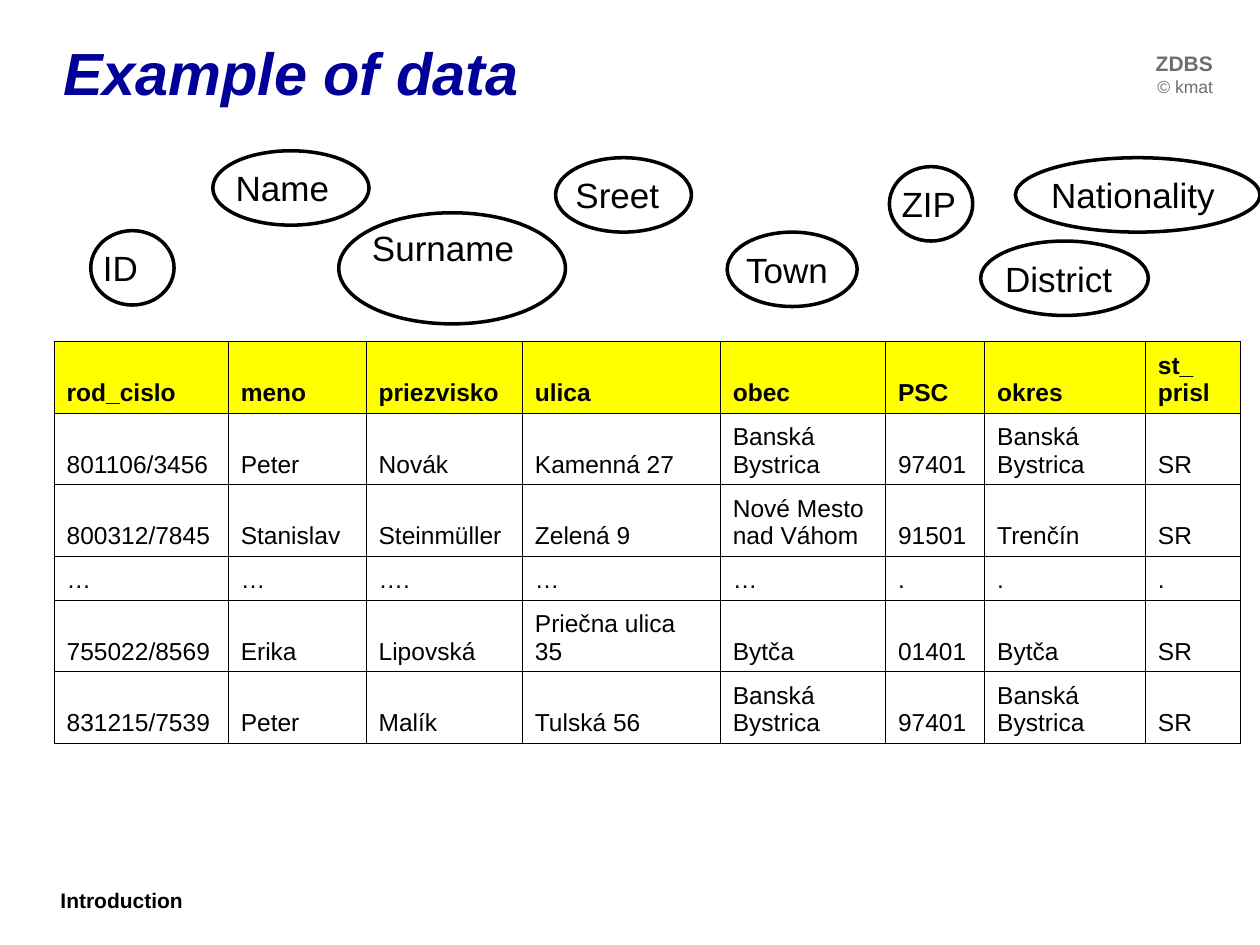
from dataclasses import dataclass

from lxml.etree import SubElement as Sub
from pptx import Presentation
from pptx.dml.color import RGBColor
from pptx.enum.shapes import MSO_SHAPE as Kind
from pptx.enum.text import MSO_ANCHOR as Anchor, MSO_AUTO_SIZE as Fit, PP_ALIGN as Align
from pptx.oxml.ns import qn
from pptx.util import Cm, Pt

BLACK, WHITE, GREY, NAVY, YELLOW = "000000", "FFFFFF", "6E6E6E", "000099", "FFFF00"


@dataclass
class Style:
    size: float
    color: str = BLACK
    bold: bool = False
    italic: bool = False


@dataclass
class Bubble:
    text: str
    left: float
    top: float
    width: float
    height: float = 1.5
    pad: float = 0  # bottom inset that lifts the label


BUBBLES = [
    Bubble("ID", 1.83, 4.65, 1.68),
    Bubble("Name", 4.29, 3.04, 3.15),
    Bubble("Surname", 6.83, 4.29, 4.57, 2.24, 0.82),
    Bubble("Sreet", 11.2, 3.18, 2.74),
    Bubble("Town", 14.66, 4.68, 2.62),
    Bubble("ZIP", 17.93, 3.36, 1.68),
    Bubble("District", 19.77, 4.86, 3.38),
    Bubble("Nationality", 20.47, 3.18, 4.93),
]

WIDTHS = [3.51, 2.78, 3.15, 3.99, 3.33, 2.0, 3.24, 1.92]
HEIGHTS = [2.28, 2.17, 1.44, 1.44, 1.44, 0.89, 1.44, 1.44]
HEAD = 2  # the rows above the header are open space for the bubbles
ROWS = [
    ["rod_cislo", "meno", "priezvisko", "ulica", "obec", "PSC", "okres", "st_\nprisl"],
    ["801106/3456", "Peter", "Novák", "Kamenná 27", "Banská Bystrica", "97401",
     "Banská Bystrica", "SR"],
    ["800312/7845", "Stanislav", "Steinmüller", "Zelená 9", "Nové Mesto nad Váhom",
     "91501", "Trenčín", "SR"],
    ["…", "…", "….", "…", "…", ".", ".", "."],
    ["755022/8569", "Erika", "Lipovská", "Priečna ulica 35", "Bytča", "01401",
     "Bytča", "SR"],
    ["831215/7539", "Peter", "Malík", "Tulská 56", "Banská Bystrica", "97401",
     "Banská Bystrica", "SR"],
]


def rgb(code: str) -> RGBColor:
    return RGBColor.from_string(code)


def add_run(para, text: str, style: Style) -> None:
    run = para.add_run()
    run.text = text
    font = run.font
    font.name, font.size = "Arial", Pt(style.size)
    font.bold, font.italic = style.bold, style.italic
    font.color.rgb = rgb(style.color)


def fill_text(frame, lines, align=Align.LEFT) -> None:
    for i, (text, style) in enumerate(lines):
        para = frame.add_paragraph() if i else frame.paragraphs[0]
        para.alignment = align
        add_run(para, text, style)


def add_note(slide, left, top, width, height, lines, align=Align.LEFT) -> None:
    frame = slide.shapes.add_textbox(Cm(left), Cm(top), Cm(width), Cm(height)).text_frame
    frame.word_wrap = True
    fill_text(frame, lines, align)


def add_bubble(slide, item: Bubble) -> None:
    shape = slide.shapes.add_shape(
        Kind.OVAL, Cm(item.left), Cm(item.top), Cm(item.width), Cm(item.height))
    shape.shadow.inherit = False
    shape.fill.solid()
    shape.fill.fore_color.rgb = rgb(WHITE)
    shape.line.color.rgb = rgb(BLACK)
    shape.line.width = Pt(2)
    frame = shape.text_frame
    frame.margin_left = frame.margin_right = frame.margin_top = 0
    frame.margin_bottom = Cm(item.pad)
    frame.vertical_anchor = Anchor.MIDDLE
    fill_text(frame, [(item.text, Style(20))])


def set_edges(cell, drawn: str) -> None:
    """Draw the named sides (of L, R, T, B) and leave the others blank."""
    props = cell._tc.get_or_add_tcPr()
    for side in "LRTB":
        line = Sub(props, qn(f"a:ln{side}"), w=str(Pt(0.45)))
        if side in drawn:
            Sub(Sub(line, qn("a:solidFill")), qn("a:srgbClr"), val=BLACK)
        else:
            Sub(line, qn("a:noFill"))


def add_grid(slide) -> None:
    table = slide.shapes.add_table(
        len(HEIGHTS), len(WIDTHS), Cm(1.09), Cm(2.44),
        Cm(sum(WIDTHS)), Cm(sum(HEIGHTS))).table
    table.first_row = table.horz_banding = False
    for col, width in zip(table.columns, WIDTHS):
        col.width = Cm(width)
    for r, height in enumerate(HEIGHTS):
        table.rows[r].height = Cm(height)
        for c in range(len(WIDTHS)):
            cell = table.cell(r, c)
            set_edges(cell, "LRTB" if r >= HEAD else "B" if r == HEAD - 1 else "")
            cell.fill.background()
            if r < HEAD:
                continue
            if r == HEAD:
                cell.fill.solid()
                cell.fill.fore_color.rgb = rgb(YELLOW)
            cell.vertical_anchor = Anchor.BOTTOM
            style = Style(14, bold=r == HEAD)
            lines = ROWS[r - HEAD][c].split("\n")
            fill_text(cell.text_frame, [(line, style) for line in lines])


def set_title(slide, text: str) -> None:
    title = slide.shapes.title
    title.left, title.top, title.width, title.height = Cm(1.27), Cm(0.76), Cm(22.86), Cm(1.37)
    frame = title.text_frame
    frame.margin_left = frame.margin_right = 0
    frame.vertical_anchor = Anchor.MIDDLE
    frame.auto_size = Fit.NONE
    fill_text(frame, [(text, Style(34, NAVY, True, True))])


def main() -> None:
    deck = Presentation()
    deck.slide_width, deck.slide_height = Cm(25.4), Cm(19.05)
    slide = deck.slides.add_slide(deck.slide_layouts[5])

    # Footer and course mark
    add_note(slide, 0.97, 17.76, 3.4, 1.29, [("Introduction", Style(12, bold=True))])
    add_note(slide, 22.5, 0.9, 2.2, 1.63,
             [("ZDBS", Style(12, GREY, True)), ("© kmat", Style(10, GREY))], Align.RIGHT)

    # Title, table and attribute bubbles
    set_title(slide, "Example of data")
    add_grid(slide)
    for item in BUBBLES:
        add_bubble(slide, item)

    deck.save("out.pptx")


if __name__ == "__main__":
    main()
